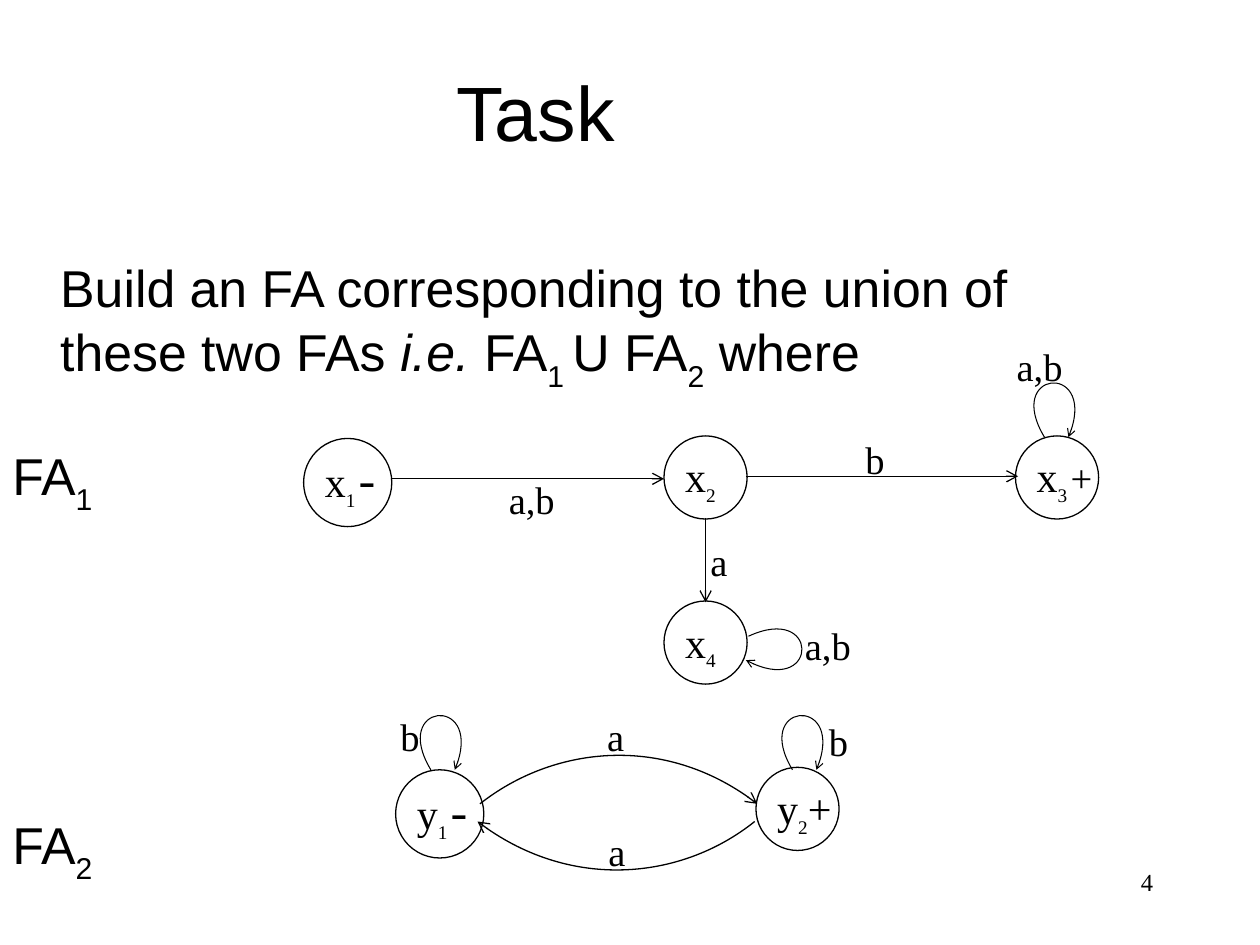
from lxml import etree
from pptx import Presentation
from pptx.dml.color import RGBColor
from pptx.enum.shapes import MSO_CONNECTOR, MSO_SHAPE
from pptx.enum.text import MSO_ANCHOR, PP_ALIGN
from pptx.oxml.ns import qn
from pptx.util import Inches, Pt

OVAL = MSO_SHAPE.OVAL
STRAIGHT = MSO_CONNECTOR.STRAIGHT
LEFT, MID, RIGHT = PP_ALIGN.LEFT, PP_ALIGN.CENTER, PP_ALIGN.RIGHT
TOP, CENTER = MSO_ANCHOR.TOP, MSO_ANCHOR.MIDDLE

THEME = {
    "ink": RGBColor(0, 0, 0),
    "paper": RGBColor(255, 255, 255),
    "line": 0.75,
    "thin": 0.6,
    # style: font, size, baseline, italic
    "title": ("Arial", 44, 0, False),
    "body": ("Arial", 29.6, 0, False),
    "slant": ("Arial", 29.6, 0, True),
    "low": ("Arial", 29.6, -30, False),
    "page": ("Times New Roman", 14, 0, False),
    "edge": ("Times New Roman", 22, 0, False),
    "state": ("Times New Roman", 24, 0, False),
    "index": ("Times New Roman", 19, -30, False),
    "gap": ("Times New Roman", 13, -30, False),
    "minus": ("Cabin", 24, 0, False),
}

# Body paragraphs: left margin (in), space before (pt), runs
BODY = [
    (0.38, 0, [
        ("Build an FA corresponding to the union of these two FAs ", "body"),
        ("i.e. ", "slant"), ("FA", "body"), ("1 ", "low"),
        ("U FA", "body"), ("2", "low"), (" where", "body")]),
    (0, 31, [("FA", "body"), ("1", "low")]),
    (0, 171, [("FA", "body"), ("2", "low")]),
]

START = [(" ", "gap"), ("-", "minus")]
# States: left, top, diameter, letter, index, sign runs
STATES = [
    (2.41, 3.48, 0.7, "x", "1", START),
    (5.27, 3.46, 0.66, "x", "2", []),
    (8.06, 3.46, 0.66, "x", "3", [(" ", "gap"), ("+", "edge")]),
    (5.27, 4.77, 0.66, "x", "4", []),
    (3.14, 6.11, 0.7, "y", "1", START),
    (6, 6.09, 0.66, "y", "2", [("+", "state")]),
]

ARROWS = [(3.1, 3.8, 5.27, 3.8), (5.92, 3.78, 8.08, 3.78),
          (5.6, 4.11, 5.6, 4.78)]

# Curves: start, two control points, end
BENDS = [
    [(3.81, 6.38), (4.38, 5.93), (5.29, 5.82), (6.01, 6.38)],
    [(5.99, 6.52), (5.43, 6.97), (4.52, 7.08), (3.79, 6.52)],
]
SIDE = [(5.94, 5.05), (6.5, 4.79), (6.5, 5.55), (5.92, 5.24)]
LOOP = [(0, 0), (-0.32, -0.53), (0.44, -0.6), (0.19, 0)]
STARTS = [(8.29, 3.47), (3.42, 6.11), (6.29, 6.11)]

# Edge labels: left, top, text
LABELS = [
    (7.97, 2.67, "a,b"), (6.77, 3.41, "b"), (3.94, 3.73, "a,b"),
    (6.29, 4.89, "a,b"), (5.54, 4.22, "a"), (4.72, 5.61, "a"),
    (4.73, 6.52, "a"), (6.48, 5.65, "b"), (3.08, 5.61, "b"),
]


def fill_para(para, runs):
    for text, style in runs:
        face, size, base, slant = THEME[style]
        run = para.add_run()
        run.text = text
        font = run.font
        font.name, font.size, font.italic = face, Pt(size), slant
        font.color.rgb = THEME["ink"]
        if base:
            run._r.get_or_add_rPr().set("baseline", str(base * 1000))


def add_text(slide, box, runs, align=LEFT, anchor=TOP):
    frame = slide.shapes.add_textbox(*map(Inches, box)).text_frame
    frame.word_wrap = True
    frame.vertical_anchor = anchor
    para = frame.paragraphs[0]
    para.alignment = align
    fill_para(para, runs)
    return frame


def add_body(slide):
    frame = add_text(slide, (0, 2.02, 8.94, 4.6), [])
    for i, (left, space, runs) in enumerate(BODY):
        para = frame.add_paragraph() if i else frame.paragraphs[0]
        para.line_spacing = 0.95
        para.space_before = Pt(space)
        para._p.get_or_add_pPr().set("marL", str(Inches(left)))
        fill_para(para, runs)


def set_line(shape, width, head=None):
    """Draw the outline; head is the arrowhead size, if there is one."""
    shape.line.color.rgb = THEME["ink"]
    shape.line.width = Pt(width)
    if head:
        etree.SubElement(shape.line._get_or_add_ln(), qn("a:tailEnd"),
                         type="arrow", w=head, len=head)


def add_state(slide, left, top, size, letter, index, sign):
    oval = slide.shapes.add_shape(OVAL, *map(Inches, (left, top, size, size)))
    oval.shadow.inherit = False
    oval.fill.solid()
    oval.fill.fore_color.rgb = THEME["paper"]
    set_line(oval, THEME["line"])
    box = (left + 0.07, top + size / 2 - 0.26, 0.8, 0.46)
    add_text(slide, box, [(letter, "state"), (index, "index")] + sign)


def add_arrow(slide, ends):
    line = slide.shapes.add_connector(STRAIGHT, *map(Inches, ends))
    set_line(line, THEME["line"], "med")
    etree.SubElement(line._element.spPr, qn("a:effectLst"))


def add_curve(slide, points, width, head):
    """Build a freeform and turn its three segments into one cubic curve."""
    first, *rest = [(Inches(x), Inches(y)) for x, y in points]
    pen = slide.shapes.build_freeform(*first)
    pen.add_line_segments(rest, close=False)
    curve = pen.convert_to_shape()
    route = curve._element.find(".//" + qn("a:path"))
    cubic = etree.Element(qn("a:cubicBezTo"))
    for step in route.findall(qn("a:lnTo")):
        cubic.append(step[0])
        route.remove(step)
    route.append(cubic)
    curve.shadow.inherit = False
    curve.fill.background()
    set_line(curve, width, head)


def main():
    deck = Presentation()
    deck.slide_width, deck.slide_height = Inches(10), Inches(7.5)
    slide = deck.slides.add_slide(deck.slide_layouts[6])
    add_text(slide, (7.17, 6.83, 2.08, 0.5), [("4", "page")], RIGHT)
    add_text(slide, (0, 0.25, 8.5, 1.25), [("Task", "title")], MID, CENTER)
    add_body(slide)
    for state in STATES:
        add_state(slide, *state)
    for ends in ARROWS:
        add_arrow(slide, ends)
    for bend in BENDS:
        add_curve(slide, bend, THEME["line"], "med")
    loops = [[(x + dx, y + dy) for dx, dy in LOOP] for x, y in STARTS]
    for loop in loops + [SIDE]:
        add_curve(slide, loop, THEME["thin"], "sm")
    for left, top, text in LABELS:
        add_text(slide, (left, top, 1.01, 0.41), [(text, "edge")])
    deck.save("out.pptx")


if __name__ == "__main__":
    main()
